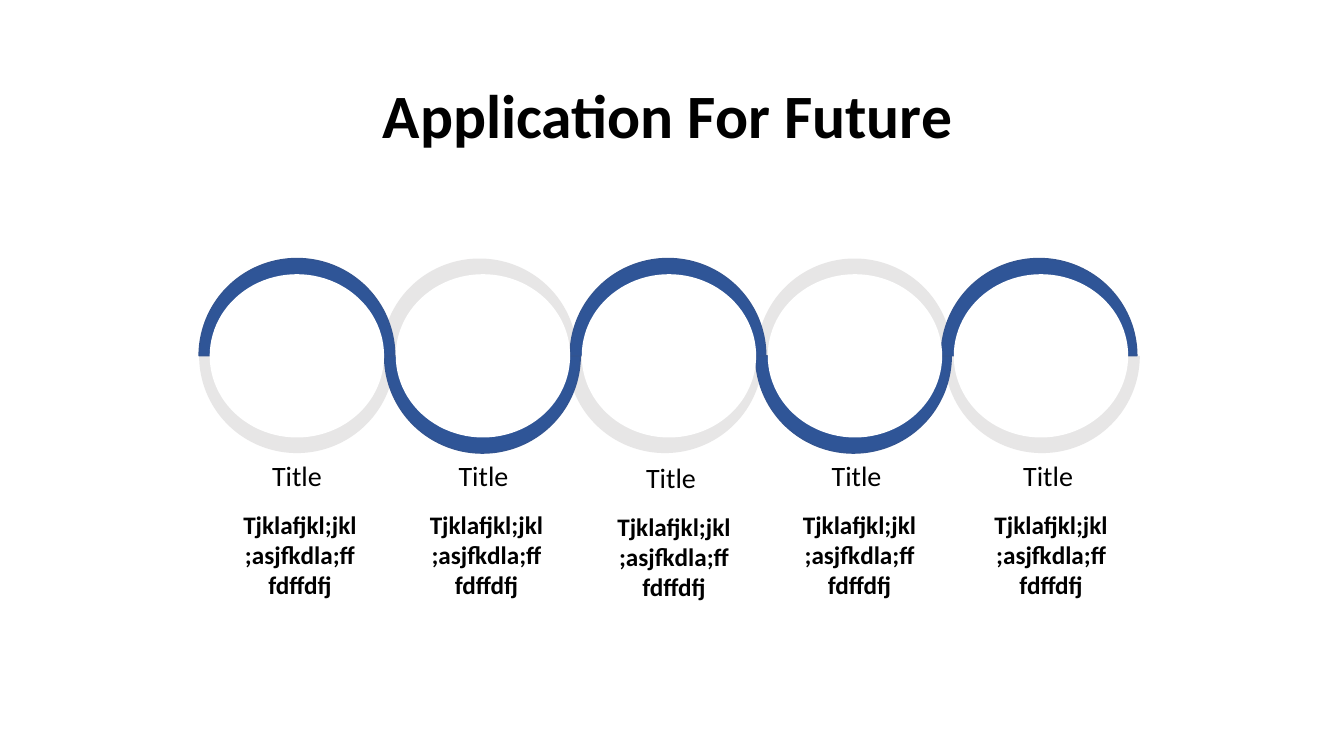
from pptx import Presentation
from pptx.dml.color import RGBColor
from pptx.enum import shapes, text
from pptx.util import Inches, Pt

HEADING = "Application For Future"
BLUE, BLUE_EDGE, GREY, WHITE, BLACK = "2F5597", "325491", "E7E6E6", "FFFFFF", "000000"
STEPS = [
    {"title": "Title", "detail": "Tjklafjkl;jkl;asjfkdla;fffdffdfj", "grey_left": 1.98, "title_at": (2.6, 4.5)},
    {"title": "Title", "detail": "Tjklafjkl;jkl;asjfkdla;fffdffdfj", "grey_left": 3.79, "title_at": (4.45, 4.5)},
    {"title": "Title", "detail": "Tjklafjkl;jkl;asjfkdla;fffdffdfj", "grey_left": 5.63, "title_at": (6.31, 4.52)},
    {"title": "Title", "detail": "Tjklafjkl;jkl;asjfkdla;fffdffdfj", "grey_left": 7.51, "title_at": (8.15, 4.5)},
    {"title": "Title", "detail": "Tjklafjkl;jkl;asjfkdla;fffdffdfj", "grey_left": 9.37, "title_at": (10.05, 4.5)},
]

RING_LEFT, RING_TOP, RING_SIZE, RING_PITCH = 1.98, 2.56, (1.93, 1.94), 1.84
HOLE_LEFT, HOLE_TOP, HOLE_SIZE, HOLE_PITCH = 2.08, 2.72, (1.73, 1.62), 1.845
UPPER, LOWER = 90, 270
HALF_PIE = (54, 162)

deck = Presentation()
deck.slide_width, deck.slide_height = Inches(13.33), Inches(7.5)
slide = deck.slides.add_slide(deck.slide_layouts[6])


def color(hex_code):
    return RGBColor.from_string(hex_code)


def add_filled(kind, left, top, size, fill, edge=None):
    part = slide.shapes.add_shape(kind, *map(Inches, (left, top, *size)))
    part.shadow.inherit = False
    part.fill.solid()
    part.fill.fore_color.rgb = color(fill)
    if edge:
        part.line.color.rgb = color(edge)
        part.line.width = Pt(1)
    else:
        part.line.fill.background()
    return part


def add_half_ring(left, side, fill, edge=None):
    half = add_filled(shapes.MSO_SHAPE.PIE, left, RING_TOP, RING_SIZE, fill, edge)
    half.adjustments[0], half.adjustments[1] = HALF_PIE
    half.rotation = side


def add_label(words, left, top, width, height, size, bold=False,
              align=text.PP_ALIGN.LEFT, anchor=text.MSO_ANCHOR.TOP, spacing=1.0):
    frame = slide.shapes.add_textbox(*map(Inches, (left, top, width, height))).text_frame
    frame.word_wrap = True
    frame.vertical_anchor = anchor
    frame.text = words
    line = frame.paragraphs[0]
    line.alignment = align
    line.line_spacing = spacing
    font = line.runs[0].font
    font.name, font.size, font.bold = "Calibri", Pt(size), bold
    font.color.rgb = color(BLACK)


add_label(HEADING, 3.7, 0.45, 5.9, 1.45, 44, bold=True,
          anchor=text.MSO_ANCHOR.MIDDLE, spacing=0.9)

for i, step in enumerate(STEPS):
    add_half_ring(step["grey_left"], UPPER if i % 2 else LOWER, GREY)

for i in range(len(STEPS)):
    add_half_ring(RING_LEFT + i * RING_PITCH, LOWER if i % 2 else UPPER, BLUE, BLUE_EDGE)

for i in range(len(STEPS)):
    add_filled(shapes.MSO_SHAPE.FLOWCHART_CONNECTOR, HOLE_LEFT + i * HOLE_PITCH,
               HOLE_TOP, HOLE_SIZE, WHITE)

for step in STEPS:
    left, top = step["title_at"]
    add_label(step["title"], left, top, 0.76, 0.44, 20)
    add_label(step["detail"], left - 0.3, top + 0.5, 1.35, 1.31, 18, bold=True,
              align=text.PP_ALIGN.CENTER)

deck.save("out.pptx")
